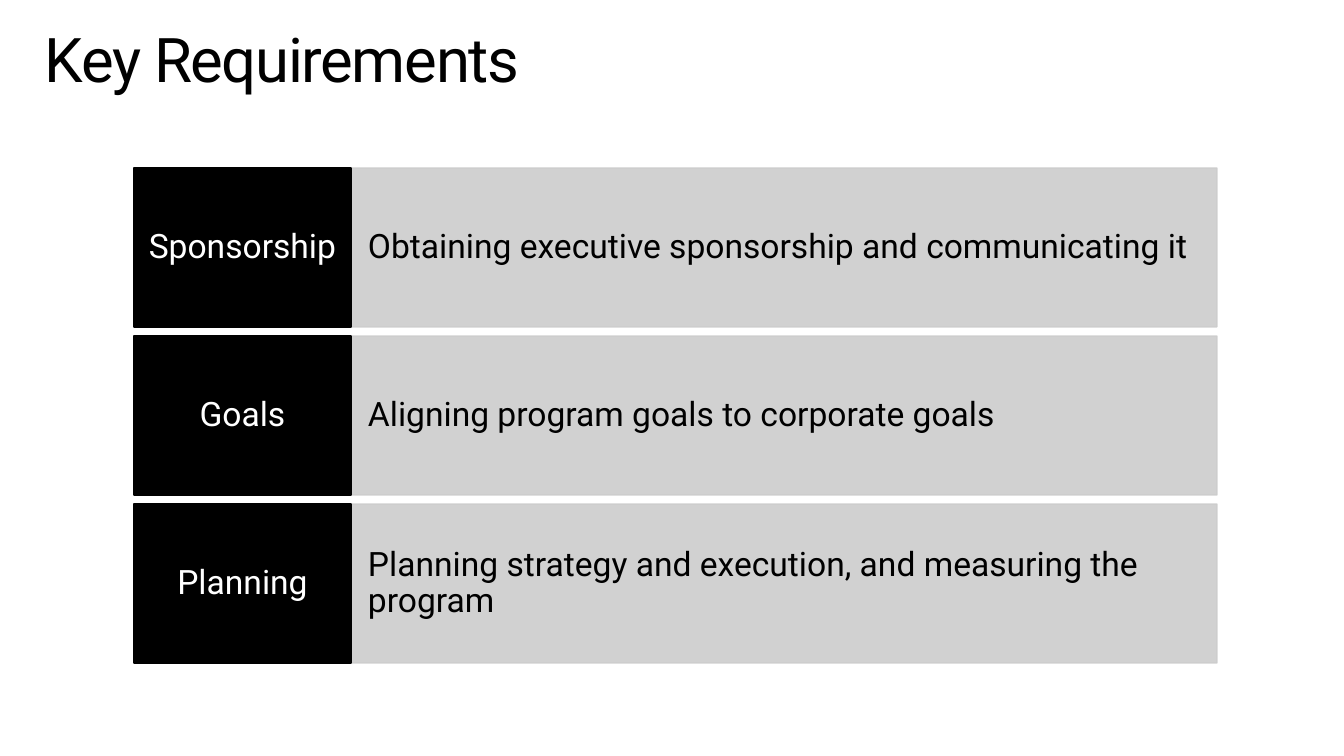
import pptx
import pptx.dml.color
import pptx.enum.shapes
import pptx.enum.text
import pptx.oxml.ns
import pptx.util
from lxml import etree

EMU_PER_PX = 914400 / 100.8
FONT = "Roboto"
BLACK, WHITE, GREY = "000000", "FFFFFF", "CCCCCC"
LEFT = pptx.enum.text.PP_ALIGN.LEFT
CENTER = pptx.enum.text.PP_ALIGN.CENTER

REQUIREMENTS = [
    ("Sponsorship", "Obtaining executive sponsorship and communicating it"),
    ("Goals", "Aligning program goals to corporate goals"),
    ("Planning", "Planning strategy and execution, and measuring the program"),
]
ROW_TOP, ROW_HEIGHT, ROW_PITCH = 168, 159, 168
LABEL_LEFT, LABEL_WIDTH, DETAIL_WIDTH = 134, 217, 866


def px(length):
    return pptx.util.Emu(round(length * EMU_PER_PX))


def color(hex_code):
    return pptx.dml.color.RGBColor.from_string(hex_code)


def set_attributes(target, values):
    for name, value in values.items():
        setattr(target, name, value)


def write(shape, wording, size, hex_code, margins, align=LEFT):
    """Set the shape's text; margins are (horizontal, vertical) in px."""
    across, down = map(px, margins)
    frame = shape.text_frame
    set_attributes(frame, {
        "word_wrap": True,
        "vertical_anchor": pptx.enum.text.MSO_ANCHOR.MIDDLE,
        "margin_left": across, "margin_right": across,
        "margin_top": down, "margin_bottom": down,
    })
    paragraph = frame.paragraphs[0]
    set_attributes(paragraph, {"alignment": align, "line_spacing": 0.9})
    run = paragraph.add_run()
    run.text = wording
    set_attributes(run.font, {"name": FONT, "size": pptx.util.Pt(size)})
    run.font.color.rgb = color(hex_code)
    return run


def add_title(slide, wording):
    title = slide.shapes.add_textbox(px(29), px(32), px(1285), px(61))
    run = write(title, wording, 44, BLACK, (16, 10))
    run.font._element.set("spc", "-100")


def add_block(slide, left, top, width, hex_code, opacity=100):
    block = slide.shapes.add_shape(
        pptx.enum.shapes.MSO_SHAPE.RECTANGLE,
        px(left), px(top), px(width), px(ROW_HEIGHT))
    block.shadow.inherit = False
    block.line.width = pptx.util.Pt(0.85)
    block.fill.solid()
    block.fill.fore_color.rgb = color(hex_code)
    block.line.color.rgb = color(hex_code)
    if opacity < 100:
        qn = pptx.oxml.ns.qn
        for tint in block._element.spPr.iter(qn("a:srgbClr")):
            etree.SubElement(tint, qn("a:alpha"), val=str(opacity * 1000))
    return block


def add_requirement(slide, top, name, explanation):
    detail = add_block(slide, LABEL_LEFT + LABEL_WIDTH, top, DETAIL_WIDTH, GREY, 90)
    write(detail, explanation, 24, BLACK, (17, 40))
    label = add_block(slide, LABEL_LEFT, top, LABEL_WIDTH, BLACK)
    write(label, name, 24, WHITE, (11, 16), CENTER)


def main():
    deck = pptx.Presentation()
    set_attributes(deck, {"slide_width": px(1344), "slide_height": px(756)})
    slide = deck.slides.add_slide(deck.slide_layouts[6])
    add_title(slide, "Key Requirements")
    for row, (name, explanation) in enumerate(REQUIREMENTS):
        add_requirement(slide, ROW_TOP + row * ROW_PITCH, name, explanation)
    deck.save("out.pptx")


if __name__ == "__main__":
    main()
